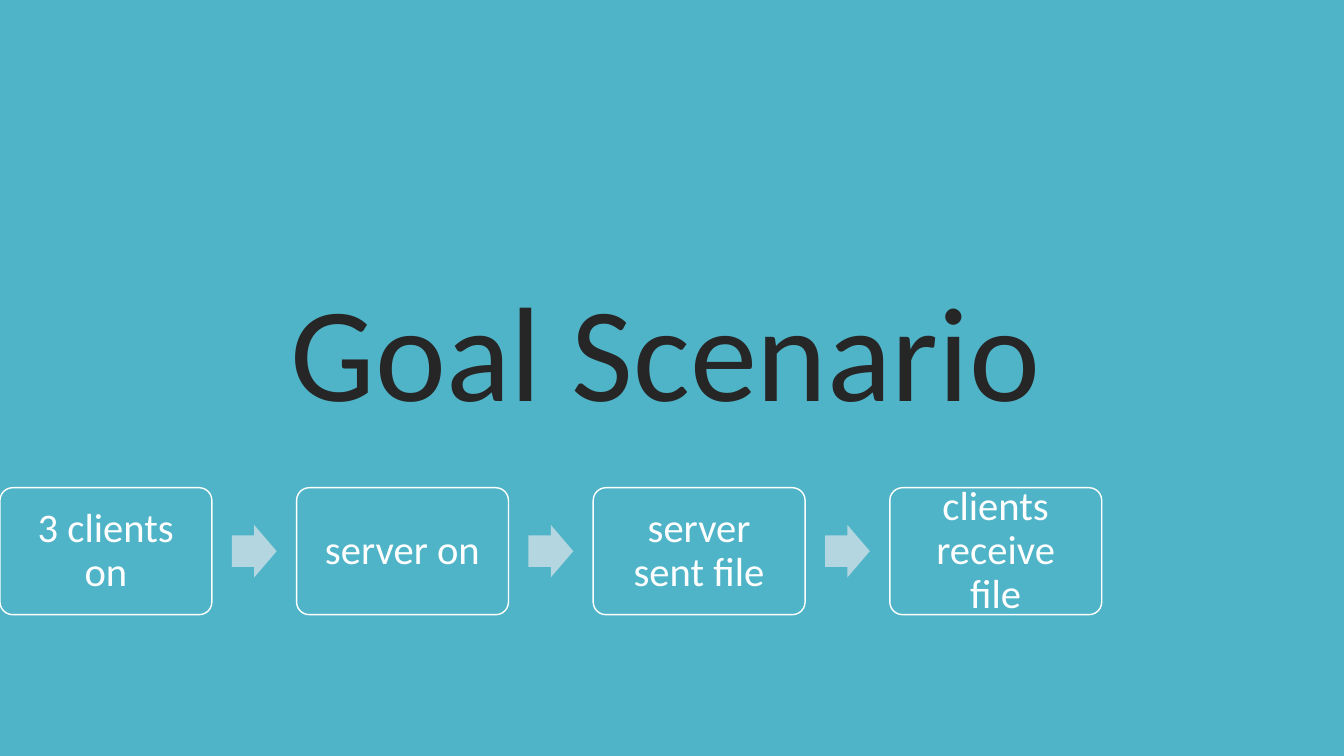
"""Build the Goal Scenario slide with its four-step flow."""
import pptx
import pptx.dml.color
import pptx.enum.shapes
import pptx.enum.text
import pptx.util

Cm, Pt = pptx.util.Cm, pptx.util.Pt
Kind = pptx.enum.shapes.MSO_SHAPE
Anchor = pptx.enum.text.MSO_ANCHOR


def tint(fmt, code):
    fmt.rgb = pptx.dml.color.RGBColor.from_string(code)


def write(shape, text, size, color, inset, anchor, before=0):
    frame = shape.text_frame
    frame.word_wrap = True
    frame.vertical_anchor = anchor
    frame.margin_left = frame.margin_right = Cm(inset)
    frame.margin_top = frame.margin_bottom = Cm(inset)
    para = frame.paragraphs[0]
    para.alignment = pptx.enum.text.PP_ALIGN.CENTER
    para.line_spacing = 0.9
    para.space_before = Pt(before)
    run = para.add_run()
    run.text = text
    run.font.name = "Calibri"
    run.font.size = Pt(size)
    tint(run.font.color, color)


deck = pptx.Presentation()
deck.slide_width, deck.slide_height = Cm(33.87), Cm(19.05)
slide = deck.slides.add_slide(deck.slide_layouts[6])
teal, white = "50B4C8", "FFFFFF"
slide.background.fill.solid()
tint(slide.background.fill.fore_color, teal)

title = slide.shapes.add_textbox(Cm(2.77), Cm(7.06), Cm(28.02), Cm(4.57))
write(title, "Goal Scenario", 96, "262626", 0.13, Anchor.TOP, before=13)

steps = ["3 clients on", "server on", "server sent file", "clients receive file"]
pitch, top, wide, high = 7.475, 12.29, 5.34, 3.2
tip_w, tip_h = 1.13, 1.32

for i, step in enumerate(steps):
    left = i * pitch
    box = slide.shapes.add_shape(
        Kind.ROUNDED_RECTANGLE, Cm(left), Cm(top), Cm(wide), Cm(high))
    box.shadow.inherit = False
    box.adjustments[0] = 0.1
    box.fill.solid()
    tint(box.fill.fore_color, teal)
    tint(box.line.color, white)
    box.line.width = Pt(1)
    write(box, step, 29, white, 0.4, Anchor.MIDDLE)

    if i < len(steps) - 1:
        mid = left + (wide + pitch) / 2
        arrow = slide.shapes.add_shape(
            Kind.RIGHT_ARROW, Cm(mid - tip_w / 2),
            Cm(top + (high - tip_h) / 2), Cm(tip_w), Cm(tip_h))
        arrow.shadow.inherit = False
        arrow.adjustments[0] = 0.6
        arrow.adjustments[1] = 0.5
        arrow.fill.solid()
        tint(arrow.fill.fore_color, "B3D6E0")
        arrow.line.fill.background()

deck.save("out.pptx")
